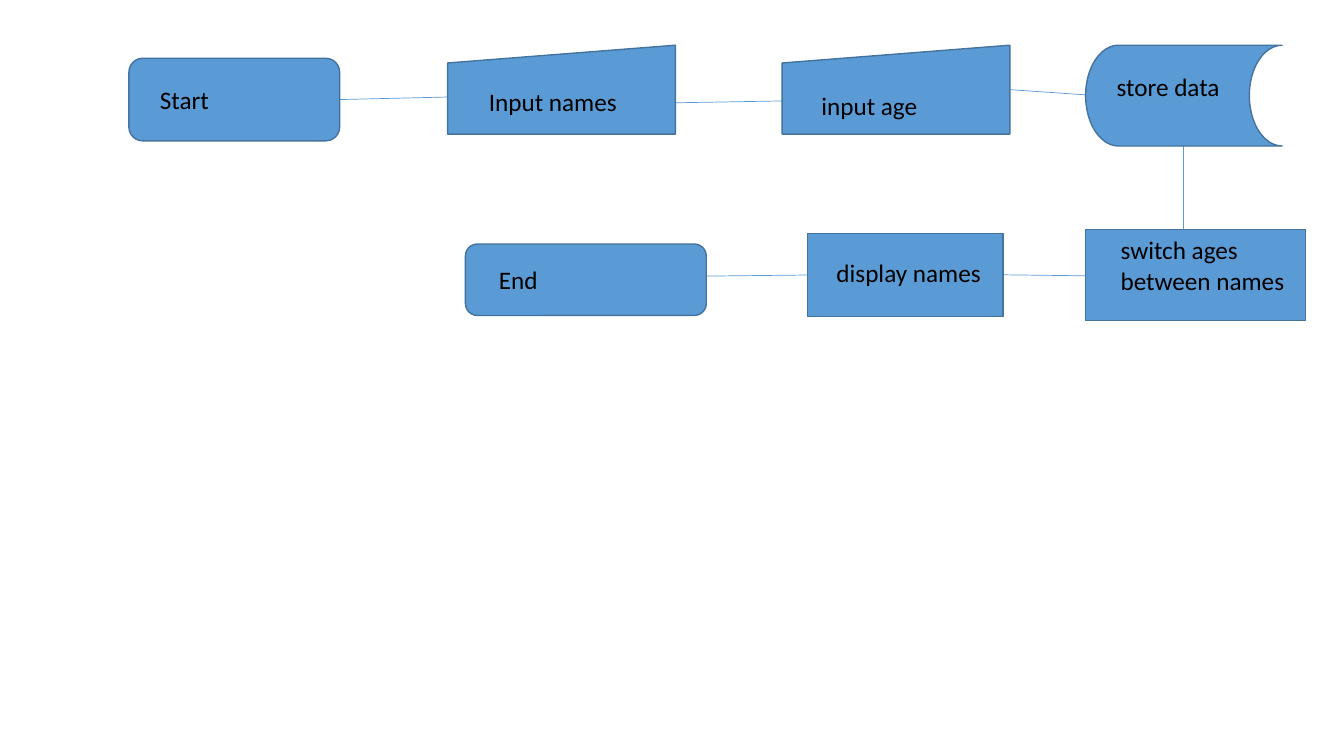
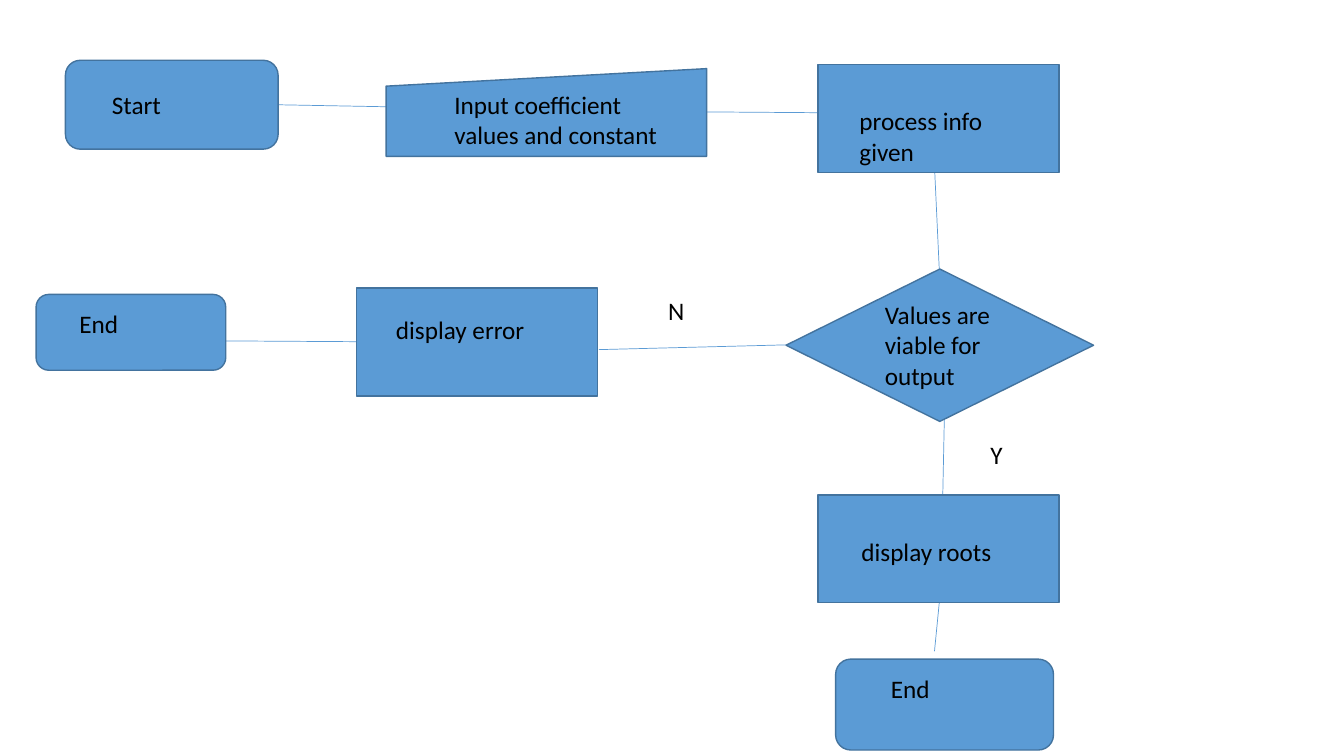
from lxml import etree
from pptx import Presentation
from pptx.dml.color import RGBColor
from pptx.enum.shapes import MSO_CONNECTOR, MSO_SHAPE
from pptx.enum.text import MSO_AUTO_SIZE
from pptx.oxml.ns import qn
from pptx.util import Cm, Pt

COLORS = {"fill": "5B9BD5", "outline": "43739E", "link": "5B9BD5", "text": "000000"}
FONT = "Calibri"
FIRST_LINE, NEXT_LINE = 1.03, 0.76  # label height in cm

TERMINAL = MSO_SHAPE.ROUNDED_RECTANGLE
INPUT = MSO_SHAPE.FLOWCHART_MANUAL_INPUT
STORAGE = MSO_SHAPE.FLOWCHART_STORED_DATA
STORAGE = MSO_SHAPE.FLOWCHART_STORED_DATA
PROCESS = MSO_SHAPE.RECTANGLE
DECISION = MSO_SHAPE.FLOWCHART_DECISION

# Content, in cm
# steps: outline, (left, top, width, height)
# labels: text, (left, top, width), number of lines
# links: (from x, from y, to x, to y)
SWITCH_AGES = {
    "steps": [
        (TERMINAL, (3.25, 1.47, 5.31, 2.08)),
        (INPUT, (11.28, 1.14, 5.74, 2.24)),
        (INPUT, (19.71, 1.14, 5.74, 2.24)),
        (STORAGE, (27.36, 1.14, 4.95, 2.54)),
        (PROCESS, (27.36, 5.79, 5.54, 2.29)),
        (PROCESS, (20.35, 5.89, 4.93, 2.08)),
        (TERMINAL, (11.73, 6.15, 6.07, 1.8)),
    ],
    "labels": [
        ("Start", (3.78, 2.01, 4.19), 1),
        ("Input names", (12.07, 2.06, 4.14), 1),
        ("input age", (20.45, 2.16, 4.42), 1),
        ("store data", (27.89, 1.68, 3.35), 1),
        ("switch ages between names", (27.99, 5.79, 4.9), 2),
        ("display names", (20.83, 6.35, 4.42), 1),
        ("End", (12.32, 6.53, 4.52), 1),
    ],
    "links": [
        (11.48, 2.44, 8.56, 2.51),
        (19.94, 2.54, 17.02, 2.59),
        (25.45, 2.26, 27.36, 2.39),
        (29.82, 3.66, 29.82, 5.79),
        (27.36, 6.95, 24.92, 6.92),
        (20.35, 6.93, 17.53, 6.96),
    ],
}
FIND_ROOTS = {
    "steps": [
        (TERMINAL, (1.65, 1.52, 5.36, 2.24)),
        (INPUT, (9.73, 1.73, 8.08, 2.21)),
        (PROCESS, (20.62, 1.63, 6.07, 2.72)),
        (DECISION, (19.81, 6.78, 7.75, 3.84)),
        (PROCESS, (8.99, 7.26, 6.07, 2.72)),
        (PROCESS, (20.62, 12.47, 6.07, 2.72)),
        (TERMINAL, (0.91, 7.42, 4.78, 1.91)),
        (TERMINAL, (21.06, 16.61, 5.49, 2.29)),
    ],
    "labels": [
        ("Start", (2.57, 2.13, 2.54), 1),
        ("Input coefficient values and constant", (11.2, 2.13, 5.99), 2),
        ("process info given", (21.41, 2.54, 4.88), 2),
        ("Values are viable for output", (22.05, 7.42, 3.25), 3),
        ("display error", (9.73, 7.8, 4.37), 1),
        ("display roots", (21.46, 13.39, 5.11), 1),
        ("N", (16.59, 7.32, 2.59), 1),
        ("Y", (24.71, 10.95, 1.7), 1),
        ("End", (1.75, 7.65, 2.92), 1),
        ("End", (22.2, 16.84, 3.3), 1),
    ],
    "links": [
        (7.01, 2.64, 9.73, 2.69),
        (17.81, 2.82, 20.62, 2.84),
        (23.55, 4.19, 23.67, 6.78),
        (19.81, 8.69, 15.09, 8.81),
        (23.8, 10.46, 23.75, 12.9),
        (8.99, 8.61, 5.59, 8.59),
        (23.67, 15.19, 23.55, 16.41),
    ],
}


def rgb(role):
    return RGBColor.from_string(COLORS[role])


def add_link(slide, ends):
    link = slide.shapes.add_connector(MSO_CONNECTOR.STRAIGHT, *map(Cm, ends))
    link.line.color.rgb = rgb("link")
    link.line.width = Pt(0.5)
    etree.SubElement(link._element.spPr, qn("a:effectLst"))


def add_step(slide, outline, box):
    step = slide.shapes.add_shape(outline, *map(Cm, box))
    step.shadow.inherit = False
    step.fill.solid()
    step.fill.fore_color.rgb = rgb("fill")
    step.line.color.rgb = rgb("outline")
    step.line.width = Pt(1)


def add_text(slide, text, place, lines=1, size=18, color="text", font=FONT):
    height = FIRST_LINE + (lines - 1) * NEXT_LINE
    frame = slide.shapes.add_textbox(*map(Cm, (*place, height))).text_frame
    frame.word_wrap = True
    frame.auto_size = MSO_AUTO_SIZE.SHAPE_TO_FIT_TEXT
    run = frame.paragraphs[0].add_run()
    run.text = text
    run.font.size = Pt(size)
    run.font.name = font
    run.font.color.rgb = rgb(color)


deck = Presentation()
deck.slide_width, deck.slide_height = Cm(33.87), Cm(19.05)
blank_layout = deck.slide_layouts[6]

for flowchart in (SWITCH_AGES, FIND_ROOTS):
    slide = deck.slides.add_slide(blank_layout)
    # Links lie behind the steps, labels in front
    for ends in flowchart["links"]:
        add_link(slide, ends)
    for outline, box in flowchart["steps"]:
        add_step(slide, outline, box)
    for text, place, lines in flowchart["labels"]:
        add_text(slide, text, place, lines=lines)

deck.save("out.pptx")
